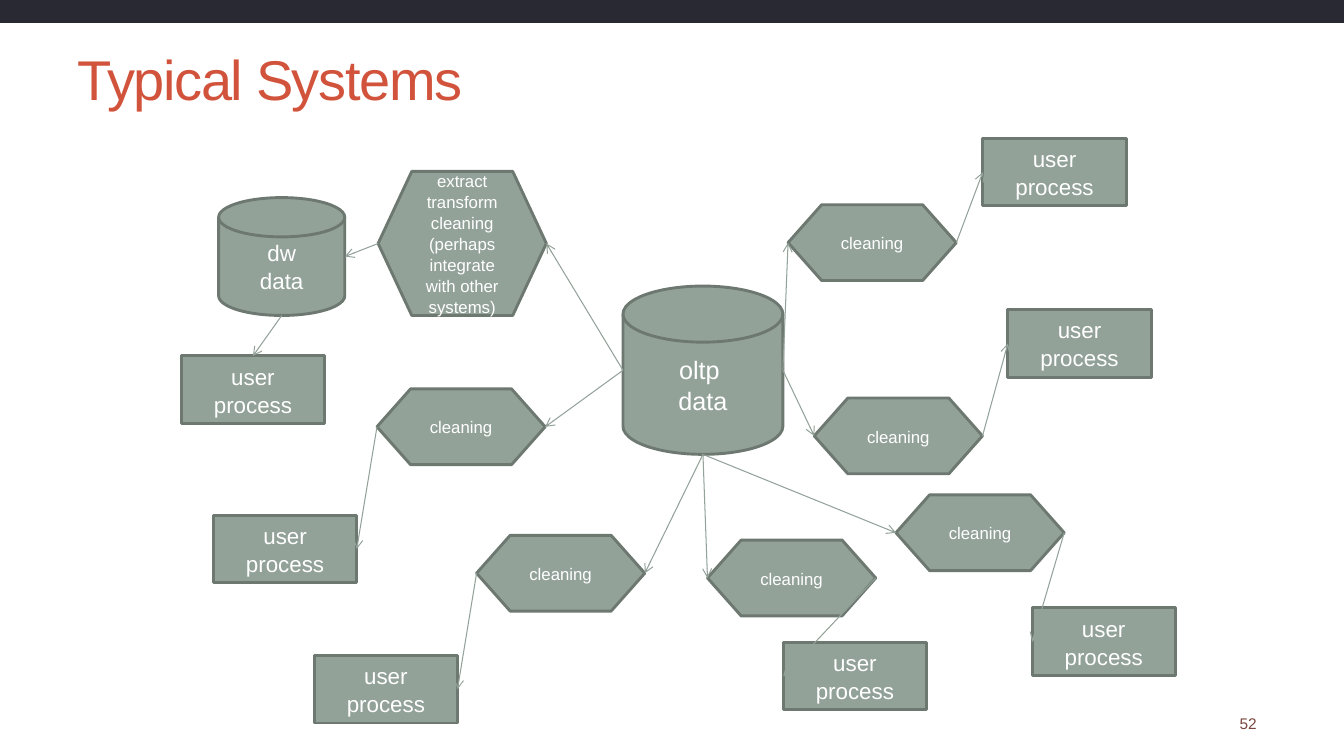
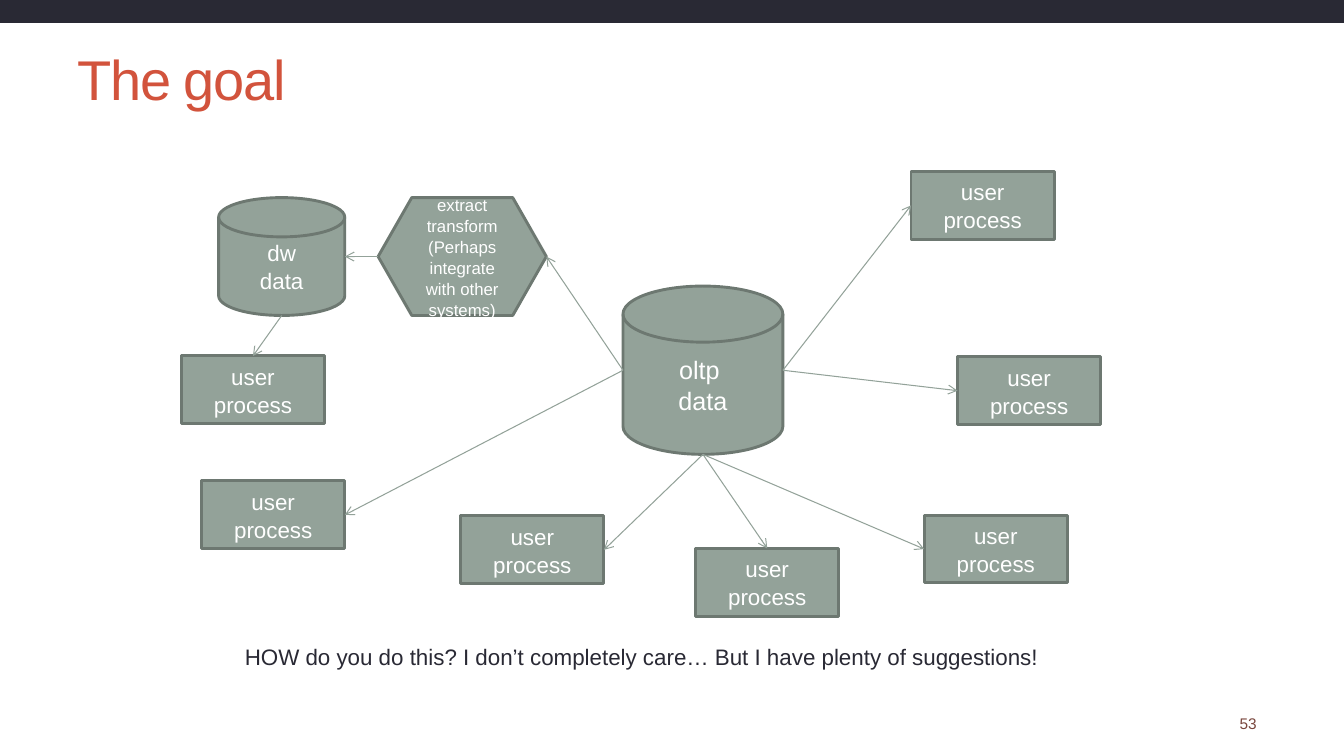
"""Build two slides comparing typical data systems with the goal."""
from dataclasses import dataclass
from enum import IntEnum
from typing import Optional

from lxml.etree import SubElement
from pptx import Presentation
from pptx.dml.color import RGBColor
from pptx.enum.shapes import MSO_CONNECTOR as Line, MSO_SHAPE as Preset
from pptx.enum.text import MSO_ANCHOR as Anchor, PP_ALIGN as Align
from pptx.oxml.ns import qn
from pptx.shapes.autoshape import Shape
from pptx.slide import Slide
from pptx.text.text import TextFrame
from pptx.util import Cm, Pt


@dataclass(frozen=True)
class Theme:
    font: str = "Arial"
    band: RGBColor = RGBColor(0x29, 0x29, 0x34)
    title: RGBColor = RGBColor(0xD2, 0x53, 0x3C)
    number: RGBColor = RGBColor(0x79, 0x46, 0x3D)
    sage: RGBColor = RGBColor(0x93, 0xA2, 0x99)
    outline: RGBColor = RGBColor(0x6D, 0x78, 0x71)
    white: RGBColor = RGBColor(0xFF, 0xFF, 0xFF)
    title_size: float = 40
    store_size: float = 18
    label_size: float = 16
    step_size: float = 12
    number_size: float = 11
    outline_width: float = 2.08
    link_width: float = 0.75
    node_spacing: float = 1.04


class Side(IntEnum):
    TOP = 0
    LEFT = 1
    BOTTOM = 2
    RIGHT = 3


@dataclass(frozen=True)
class Node:
    preset: Preset
    text: str
    left: float
    top: float
    width: float
    height: float
    size: float


@dataclass(frozen=True)
class Branch:
    """A route from the oltp store to a user process, perhaps by a cleaning step."""
    leave: Side
    enter: Side
    process: tuple[float, float]
    cleaning: Optional[tuple[float, float]] = None


@dataclass(frozen=True)
class SystemSlide:
    title: str
    number: str
    extract: Node
    branches: list[Branch]
    caption: str = ""


THEME = Theme()
OPPOSITE = {Side.LEFT: Side.RIGHT, Side.RIGHT: Side.LEFT}
OLTP = Node(Preset.FLOWCHART_MAGNETIC_DISK, "oltp \vdata",
            15.7, 7.21, 4.03, 4.24, THEME.store_size)
WAREHOUSE = Node(Preset.FLOWCHART_MAGNETIC_DISK, "dw\ndata",
                 5.51, 4.98, 3.18, 2.97, THEME.label_size)
WAREHOUSE_USER = (4.57, 8.97)


def process_node(place: tuple[float, float]) -> Node:
    """Describe a user process at a place."""
    return Node(Preset.FLOWCHART_PROCESS, "user process", *place, 3.61, 1.71, THEME.label_size)


def step_node(text: str, place: tuple[float, float], height: float = 1.91) -> Node:
    """Describe a preparation step at a place."""
    return Node(Preset.FLOWCHART_PREPARATION, text, *place, 4.24, height, THEME.step_size)


SYSTEMS = [
    SystemSlide(
        "Typical Systems", "52",
        step_node("extract\vtransform\vcleaning\n(perhaps integrate with other systems)",
                  (9.53, 4.32), 3.63),
        [
            Branch(Side.LEFT, Side.RIGHT, (5.38, 12.98), (9.5, 9.8)),
            Branch(Side.RIGHT, Side.LEFT, (24.77, 3.48), (19.86, 5.16)),
            Branch(Side.RIGHT, Side.LEFT, (25.4, 7.8), (20.52, 10.03)),
            Branch(Side.BOTTOM, Side.LEFT, (19.74, 16.18), (17.83, 13.61)),
            Branch(Side.BOTTOM, Side.RIGHT, (7.92, 16.51), (12.01, 13.49)),
            Branch(Side.BOTTOM, Side.LEFT, (26.01, 15.32), (22.58, 12.47)),
        ],
    ),
    SystemSlide(
        "The goal", "53",
        step_node("extract\vtransform\v(Perhaps integrate with other systems)",
                  (9.53, 4.98), 2.97),
        [
            Branch(Side.LEFT, Side.RIGHT, (5.08, 12.12)),
            Branch(Side.RIGHT, Side.LEFT, (22.96, 4.32)),
            Branch(Side.RIGHT, Side.LEFT, (24.13, 8.99)),
            Branch(Side.BOTTOM, Side.TOP, (17.53, 13.82)),
            Branch(Side.BOTTOM, Side.RIGHT, (11.61, 13)),
            Branch(Side.BOTTOM, Side.LEFT, (23.29, 12.98)),
        ],
        "HOW do you do this? I don’t completely care… But I have plenty of suggestions!",
    ),
]


def format_text(frame: TextFrame, size: float, color: RGBColor,
                align: Align = Align.LEFT, spacing: float = 1.0) -> None:
    """Apply the theme font to every paragraph and run of a frame."""
    frame.word_wrap = True
    for paragraph in frame.paragraphs:
        paragraph.alignment = align
        paragraph.line_spacing = spacing
        for run in paragraph.runs:
            run.font.name = THEME.font
            run.font.size = Pt(size)
            run.font.color.rgb = color


def add_label(slide: Slide, text: str, left: float, top: float, width: float,
              height: float, size: float, color: RGBColor) -> None:
    """Add a plain text box."""
    label = slide.shapes.add_textbox(Cm(left), Cm(top), Cm(width), Cm(height))
    label.text_frame.text = text
    format_text(label.text_frame, size, color)


def add_frame(slide: Slide, title: str, number: str) -> None:
    """Add the band, title and slide number shared by the slides."""
    band = slide.shapes.add_shape(Preset.RECTANGLE, Cm(0), Cm(-0.03), Cm(33.87), Cm(0.61))
    band.shadow.inherit = False
    band.fill.solid()
    band.fill.fore_color.rgb = THEME.band
    band.line.fill.background()

    heading = slide.shapes.title
    heading.left, heading.top, heading.width, heading.height = (
        Cm(1.7), Cm(0.76), Cm(30.2), Cm(2.41))
    heading.text_frame.text = title
    heading.text_frame.vertical_anchor = Anchor.MIDDLE
    format_text(heading.text_frame, THEME.title_size, THEME.title)
    for run in heading.text_frame.paragraphs[0].runs:
        run.font._element.set("spc", "-100")

    add_label(slide, number, 30.99, 17.88, 2.39, 0.74, THEME.number_size, THEME.number)


def add_node(slide: Slide, node: Node) -> Shape:
    """Draw a node of the diagram."""
    shape = slide.shapes.add_shape(node.preset, Cm(node.left), Cm(node.top),
                                   Cm(node.width), Cm(node.height))
    shape.shadow.inherit = False
    shape.fill.solid()
    shape.fill.fore_color.rgb = THEME.sage
    shape.line.color.rgb = THEME.outline
    shape.line.width = Pt(THEME.outline_width)
    shape.text_frame.text = node.text
    shape.text_frame.vertical_anchor = Anchor.MIDDLE
    format_text(shape.text_frame, node.size, THEME.white, Align.CENTER, THEME.node_spacing)
    return shape


def side_point(shape: Shape, side: Side) -> tuple[int, int]:
    """Return the middle of one side of a shape."""
    across = {Side.LEFT: 0, Side.RIGHT: shape.width}.get(side, shape.width // 2)
    down = {Side.TOP: 0, Side.BOTTOM: shape.height}.get(side, shape.height // 2)
    return shape.left + across, shape.top + down


def add_link(slide: Slide, source: Shape, leave: Side, target: Shape, enter: Side) -> None:
    """Draw an arrow between two sides, joined wherever the sites are the side middles."""
    link = slide.shapes.add_connector(Line.STRAIGHT, *side_point(source, leave),
                                      *side_point(target, enter))
    if source.auto_shape_type != Preset.FLOWCHART_MAGNETIC_DISK:
        link.begin_connect(source, leave)
    if target.auto_shape_type != Preset.FLOWCHART_MAGNETIC_DISK:
        link.end_connect(target, enter)
    link.line.color.rgb = THEME.sage
    link.line.width = Pt(THEME.link_width)
    properties = link.element.spPr
    SubElement(properties.find(qn("a:ln")), qn("a:tailEnd"), type="arrow")
    SubElement(properties, qn("a:effectLst"))


def add_branch(slide: Slide, oltp: Shape, branch: Branch) -> None:
    """Draw a branch from the oltp store to its user process."""
    process = add_node(slide, process_node(branch.process))
    if branch.cleaning is None:
        add_link(slide, oltp, branch.leave, process, branch.enter)
        return
    cleaning = add_node(slide, step_node("cleaning", branch.cleaning))
    add_link(slide, oltp, branch.leave, cleaning, branch.enter)
    add_link(slide, cleaning, OPPOSITE[branch.enter], process, branch.enter)


def add_system(slide: Slide, system: SystemSlide) -> None:
    """Draw one whole system slide."""
    add_frame(slide, system.title, system.number)
    oltp, extract, warehouse, warehouse_user = (
        add_node(slide, node)
        for node in (OLTP, system.extract, WAREHOUSE, process_node(WAREHOUSE_USER)))
    add_link(slide, oltp, Side.LEFT, extract, Side.RIGHT)
    add_link(slide, extract, Side.LEFT, warehouse, Side.RIGHT)
    add_link(slide, warehouse, Side.BOTTOM, warehouse_user, Side.TOP)
    for branch in system.branches:
        add_branch(slide, oltp, branch)
    if system.caption:
        add_label(slide, system.caption, 5.92, 16.08, 21.39, 0.94,
                  THEME.label_size, THEME.band)


def main() -> None:
    """Build and save the presentation."""
    deck = Presentation()
    deck.slide_width, deck.slide_height = Cm(33.87), Cm(19.05)
    title_only = deck.slide_layouts[5]
    for system in SYSTEMS:
        add_system(deck.slides.add_slide(title_only), system)
    deck.save("out.pptx")


if __name__ == "__main__":
    main()
